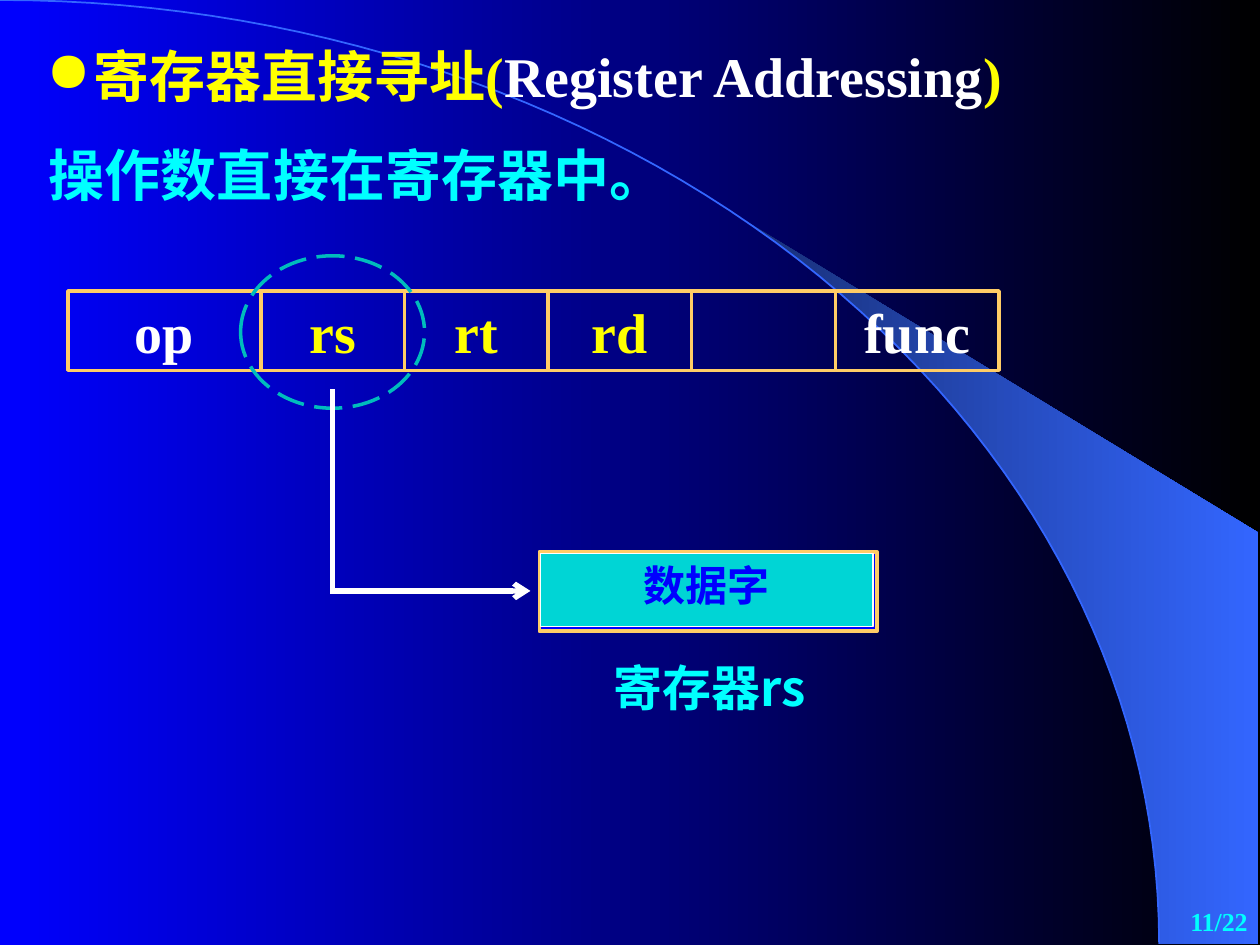
"""Build the slide on register direct addressing."""
import math
from itertools import accumulate

from lxml import etree
from pptx import Presentation
from pptx.dml.color import RGBColor
from pptx.enum.dml import MSO_LINE
from pptx.enum.shapes import MSO_CONNECTOR, MSO_SHAPE
from pptx.enum.text import MSO_ANCHOR, PP_ALIGN
from pptx.oxml.ns import qn
from pptx.util import Inches, Pt

LEFT, CENTER, RIGHT = PP_ALIGN.LEFT, PP_ALIGN.CENTER, PP_ALIGN.RIGHT
TOP, MIDDLE = MSO_ANCHOR.TOP, MSO_ANCHOR.MIDDLE
RECT, OVAL = MSO_SHAPE.RECTANGLE, MSO_SHAPE.OVAL
STRAIGHT, LONG_DASH = MSO_CONNECTOR.STRAIGHT, MSO_LINE.LONG_DASH

THEME = {
    "blue": "0000FF", "black": "000000", "navy": "182F76", "sky": "3366FF",
    "yellow": "FFFF00", "white": "FFFFFF", "cyan": "00FFFF",
    "gold": "FFCC66", "teal": "00BCBC", "aqua": "00D5D5",
    "serif": "Times New Roman", "sans": "Noto Sans CJK SC",
    "title": 32, "label": 28, "data": 24, "page": 14.8,
}

TITLE = [("寄存器直接寻址(", "yellow"), ("Register Addressing", "white"), (")", "yellow")]
STATEMENT = [("操作数直接在寄存器中。", "cyan")]
FIELDS = [("op", 1.53, "white"), ("rs", 1.14, "yellow"), ("rt", 1.14, "yellow"),
          ("rd", 1.14, "yellow"), ("", 1.14, "white"), ("func", 1.3, "white")]
DATA_WORD = [("数据字", "blue")]
REGISTER = [("寄存器rs", "cyan")]
PAGE = [("11/22", "cyan")]

WIDTH, HEIGHT = 10, 7.5
ARC_RX, ARC_RY = 9.2, 7.49
FIELD_LEFT, FIELD_TOP, FIELD_H = 0.54, 2.31, 0.63
BULLET_INDENT = 0.37


def rgb(name):
    """Return a theme colour."""
    return RGBColor.from_string(THEME[name])


def gradient(fill, first, last):
    """Fill from left to right between two theme colours."""
    fill.gradient()
    fill.gradient_angle = 0
    for stop, name in zip(fill.gradient_stops, (first, last)):
        stop.color.rgb = rgb(name)


def add_bullet(p, color):
    """Give a paragraph a coloured round bullet."""
    pPr = p._p.get_or_add_pPr()
    pPr.set("marL", str(Inches(BULLET_INDENT)))
    pPr.set("indent", str(-Inches(BULLET_INDENT)))
    bu_color = etree.SubElement(pPr, qn("a:buClr"))
    etree.SubElement(bu_color, qn("a:srgbClr"), val=THEME[color])
    etree.SubElement(pPr, qn("a:buChar"), char="●")


def write(sp, runs, size="title", font="serif", align=LEFT, anchor=TOP, bullet=None, wrap=True):
    """Write coloured bold runs as one paragraph."""
    tf = sp.text_frame
    tf.word_wrap, tf.vertical_anchor = wrap, anchor
    p = tf.paragraphs[0]
    p.alignment = align
    if bullet:
        add_bullet(p, bullet)
    for text, color in runs:
        r = p.add_run()
        r.text = text
        r.font.size, r.font.bold = Pt(THEME[size]), True
        r.font.color.rgb = rgb(color)
        r.font.name = THEME[font]
        etree.SubElement(r._r.get_or_add_rPr(), qn("a:ea"), typeface=THEME["sans"])


def add_text(s, box, runs, **fmt):
    """Add a text box."""
    write(s.shapes.add_textbox(*map(Inches, box)), runs, **fmt)


def add_box(s, kind, box, line, width=2, fill=None):
    """Add an outlined preset shape."""
    sp = s.shapes.add_shape(kind, *map(Inches, box))
    sp.shadow.inherit = False
    if fill:
        sp.fill.solid()
        sp.fill.fore_color.rgb = rgb(fill)
    else:
        sp.fill.background()
    sp.line.color.rgb, sp.line.width = rgb(line), Pt(width)
    return sp


def add_line(s, start, end, arrow=False):
    """Add a white connector with an optional arrowhead."""
    line = s.shapes.add_connector(STRAIGHT, *map(Inches, start + end))
    line.line.color.rgb, line.line.width = rgb("white"), Pt(3)
    if arrow:
        etree.SubElement(line.line._get_or_add_ln(), qn("a:tailEnd"), type="arrow")
    etree.SubElement(line._element.spPr, qn("a:effectLst"))


def arc_points(start_x, steps):
    """Return points on the quarter ellipse from start_x to its right end."""
    first = math.asin(start_x / ARC_RX)
    angles = [first + (math.pi / 2 - first) * i / steps for i in range(steps + 1)]
    return [(ARC_RX * math.sin(a), ARC_RY * (1 - math.cos(a))) for a in angles]


def add_outline(s, points, close):
    """Add a freeform through points."""
    start, *rest = [(Inches(x), Inches(y)) for x, y in points]
    builder = s.shapes.build_freeform(*start)
    builder.add_line_segments(rest, close=close)
    sp = builder.convert_to_shape()
    sp.shadow.inherit = False
    return sp


def add_backdrop(s):
    """Draw the gradient, the swoosh and the arc."""
    gradient(s.background.fill, "blue", "black")
    swoosh = add_outline(s, arc_points(5.89, 24) + [(9.99, 7.49), (9.99, 4.23)], True)
    gradient(swoosh.fill, "navy", "sky")
    swoosh.line.fill.background()
    arc = add_outline(s, arc_points(0, 60), False)
    arc.fill.background()
    arc.line.color.rgb, arc.line.width = rgb("sky"), Pt(1)


def add_fields(s):
    """Draw the instruction fields side by side."""
    lefts = accumulate((width for _, width, _ in FIELDS), initial=FIELD_LEFT)
    for left, (name, width, color) in zip(lefts, FIELDS):
        sp = add_box(s, RECT, (left, FIELD_TOP, width, FIELD_H), "gold")
        if name:
            write(sp, [(name, color)], align=CENTER, anchor=MIDDLE)


def main():
    """Build and save the slide."""
    prs = Presentation()
    prs.slide_width, prs.slide_height = Inches(WIDTH), Inches(HEIGHT)
    s = prs.slides.add_slide(prs.slide_layouts[6])
    add_backdrop(s)
    add_text(s, (7.92, 7.14, 2.08, 0.36), PAGE, size="page", align=RIGHT)
    add_text(s, (0.27, 0.28, 9.38, 0.64), TITLE, bullet="yellow")
    add_text(s, (0.29, 1.07, 6.12, 0.64), STATEMENT, font="sans")
    add_fields(s)
    ring = add_box(s, OVAL, (1.91, 2.03, 1.46, 1.21), "teal")
    ring.line.dash_style = LONG_DASH
    add_box(s, RECT, (4.28, 4.38, 2.68, 0.63), "gold", fill="blue")
    add_text(s, (4.29, 5.17, 2.68, 0.58), REGISTER, size="label", font="sans", align=CENTER)
    add_line(s, (2.64, 3.09), (2.64, 4.69))
    add_line(s, (2.62, 4.69), (4.21, 4.69), arrow=True)
    word = add_box(s, RECT, (4.29, 4.39, 2.64, 0.58), "white", 0.75, "aqua")
    write(word, DATA_WORD, size="data", font="sans", align=CENTER, wrap=False)
    prs.save("out.pptx")


if __name__ == "__main__":
    main()
